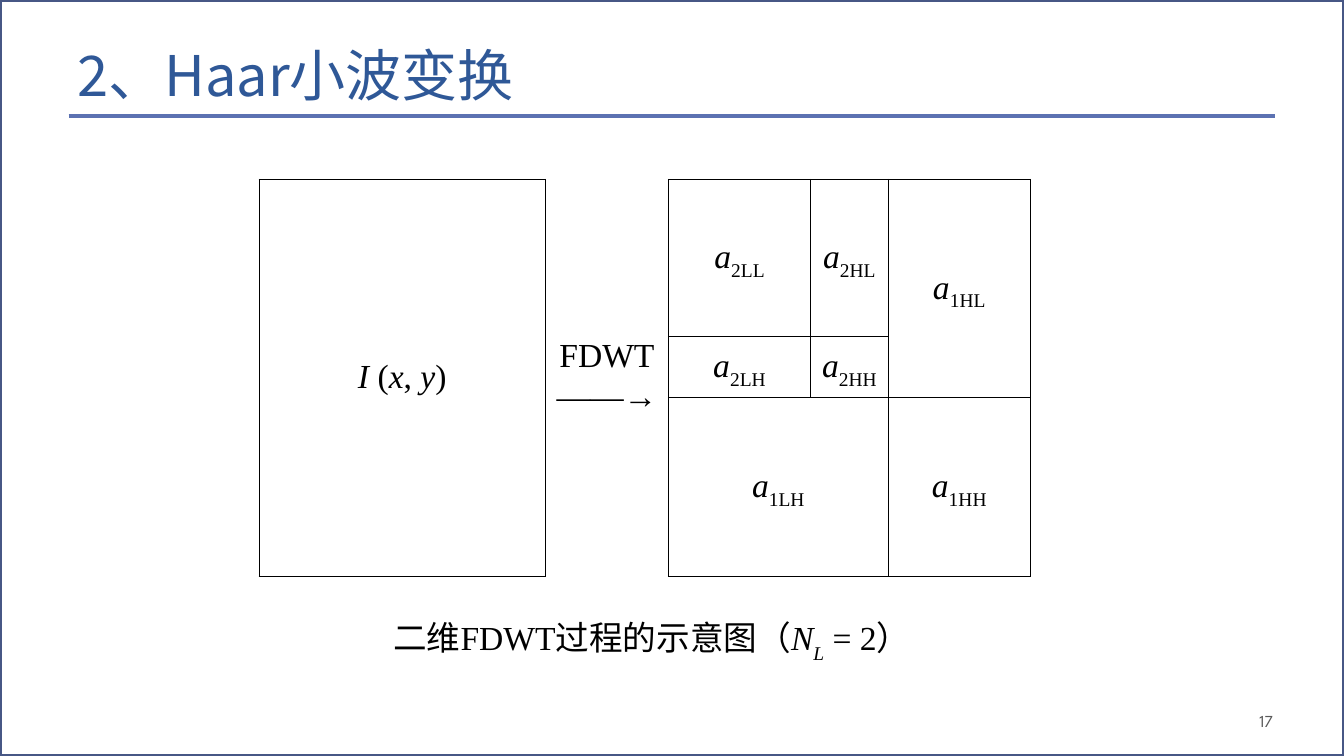
"""Builds the slide on the two-level Haar wavelet transform."""
import dataclasses

import lxml.etree
import pptx
import pptx.dml.color
import pptx.enum.shapes
import pptx.enum.text
import pptx.oxml.ns
import pptx.util

EMU = 9144
Pt = pptx.util.Pt
Align = pptx.enum.text.PP_ALIGN
Anchor = pptx.enum.text.MSO_ANCHOR
qn = pptx.oxml.ns.qn


def px(n):
    return pptx.util.Emu(n * EMU)


def rgb(code):
    return pptx.dml.color.RGBColor.from_string(code)


def style_up(item, style):
    for key, value in style.items():
        setattr(item, key, value)


def inset(left, top, right, bottom):
    names = ("margin_left", "margin_top", "margin_right", "margin_bottom")
    return dict(zip(names, map(px, (left, top, right, bottom))))


@dataclasses.dataclass
class Theme:
    white: str = "FFFFFF"
    black: str = "000000"
    frame: str = "475785"
    rule: str = "5C72B2"
    title: str = "2F5897"
    gray: str = "595959"
    han: str = "Noto Sans CJK SC"
    serif: str = "Times New Roman"
    sans: str = "League Spartan"
    head: int = 40
    body: int = 24
    small: int = 12


class Deck:
    def __init__(self, theme, wide, high):
        self.theme = theme
        self.show = pptx.Presentation()
        style_up(self.show, {"slide_width": px(wide), "slide_height": px(high)})
        self.slide = self.show.slides.add_slide(self.show.slide_layouts[6])
        self.shapes = self.slide.shapes

    def rect(self, box, fill, edge, width):
        kind = pptx.enum.shapes.MSO_SHAPE.RECTANGLE
        shape = self.shapes.add_shape(kind, *map(px, box))
        shape.shadow.inherit = False
        shape.fill.solid()
        shape.fill.fore_color.rgb = rgb(fill)
        shape.line.color.rgb = rgb(edge)
        shape.line.width = Pt(width)

    def line(self, ends, color, width):
        kind = pptx.enum.shapes.MSO_CONNECTOR.STRAIGHT
        line = self.shapes.add_connector(kind, *map(px, ends))
        line.line.color.rgb = rgb(color)
        line.line.width = Pt(width)
        lxml.etree.SubElement(line._element.spPr, qn("a:effectLst"))

    def typeset(self, frame, paras, look, form):
        size, face, color, asian = look
        for i, runs in enumerate(paras):
            para = frame.add_paragraph() if i else frame.paragraphs[0]
            style_up(para, form)
            for text, slant, base in runs:
                run = para.add_run()
                run.text = text
                style_up(run.font, {"size": Pt(size), "name": face, "italic": slant})
                run.font.color.rgb = rgb(color)
                props = run._r.get_or_add_rPr()
                if base:
                    props.set("baseline", str(base * 1000))
                if asian:
                    lxml.etree.SubElement(props, qn("a:ea"), typeface=asian)

    def text(self, box, runs, look, style, form):
        frame = self.shapes.add_textbox(*map(px, box)).text_frame
        style_up(frame, {"word_wrap": True, **style})
        self.typeset(frame, [runs], look, form)

    def edge(self, cell, sides):
        props = cell._tc.get_or_add_tcPr()
        for side in "LRTB":
            line = lxml.etree.SubElement(props, qn("a:ln" + side), w=str(Pt(1)))
            if side in sides:
                fill = lxml.etree.SubElement(line, qn("a:solidFill"))
                lxml.etree.SubElement(fill, qn("a:srgbClr"), val=self.theme.black)
            else:
                lxml.etree.SubElement(line, qn("a:noFill"))
        cell.fill.background()

    def grid(self, spot, cols, rows, cells, bare):
        box = (*spot, sum(cols), sum(rows))
        table = self.shapes.add_table(len(rows), len(cols), *map(px, box)).table
        style_up(table, {"first_row": False, "horz_banding": False})
        for col, wide in zip(table.columns, cols):
            col.width = px(wide)
        for row, high in zip(table.rows, rows):
            row.height = px(high)
        for r in range(len(rows)):
            for c in range(len(cols)):
                self.edge(table.cell(r, c), "LR" if c == bare else "LRTB")
        look = (self.theme.body, self.theme.serif, self.theme.black, None)
        form = {"alignment": Align.CENTER, "line_spacing": 0.9, "space_before": Pt(4.8)}
        for (r, c, down, over), side, paras in cells:
            cell = table.cell(r, c)
            if down * over > 1:
                cell.merge(table.cell(r + down - 1, c + over - 1))
            style = {"vertical_anchor": Anchor.MIDDLE, **inset(side, 0, side, 0)}
            style_up(cell, style)
            self.typeset(cell.text_frame, paras, look, form)


def plain(text):
    return (text, False, 0)


def slant(text):
    return (text, True, 0)


def main():
    theme = Theme()
    deck = Deck(theme, 1333, 750)
    deck.rect((0, 0, 1333, 750), theme.white, theme.frame, 2.25)
    deck.line((68, 115, 1265, 115), theme.rule, 3)
    deck.text((67, 0, 1200, 112), [plain("2、Haar小波变换")],
              (theme.head, theme.han, theme.title, theme.han),
              {"vertical_anchor": Anchor.BOTTOM}, {"line_spacing": Pt(58)})

    image = [slant("I"), plain(" ("), slant("x"), plain(", "), slant("y"), plain(")")]
    cells = [((0, 0, 3, 1), 7, [image]),
             ((0, 1, 3, 1), 7, [[plain("FDWT")], [plain("——→")]])]
    bands = {"2LL": (0, 2, 1, 1), "2HL": (0, 3, 1, 1), "1HL": (0, 4, 2, 1),
             "2LH": (1, 2, 1, 1), "2HH": (1, 3, 1, 1),
             "1LH": (2, 2, 1, 2), "1HH": (2, 4, 1, 1)}
    cells += [(span, 0, [[slant("a"), (band, False, -25)]])
              for band, span in bands.items()]
    deck.grid((257, 178), (284, 122, 141, 77, 141), (156, 60, 178), cells, 1)

    deck.text((1246, 695, 82, 40), [plain("17")],
              (theme.small, theme.sans, theme.gray, None),
              {"vertical_anchor": Anchor.MIDDLE, **inset(3, 5, 5, 5)}, {})
    deck.text((304, 611, 685, 50),
              [plain("二维FDWT过程的示意图（"), slant("N"), ("L", True, -30), plain(" = 2）")],
              (theme.body, theme.serif, theme.black, theme.han),
              {"vertical_anchor": Anchor.MIDDLE}, {"alignment": Align.CENTER})
    deck.show.save("out.pptx")


if __name__ == "__main__":
    main()
